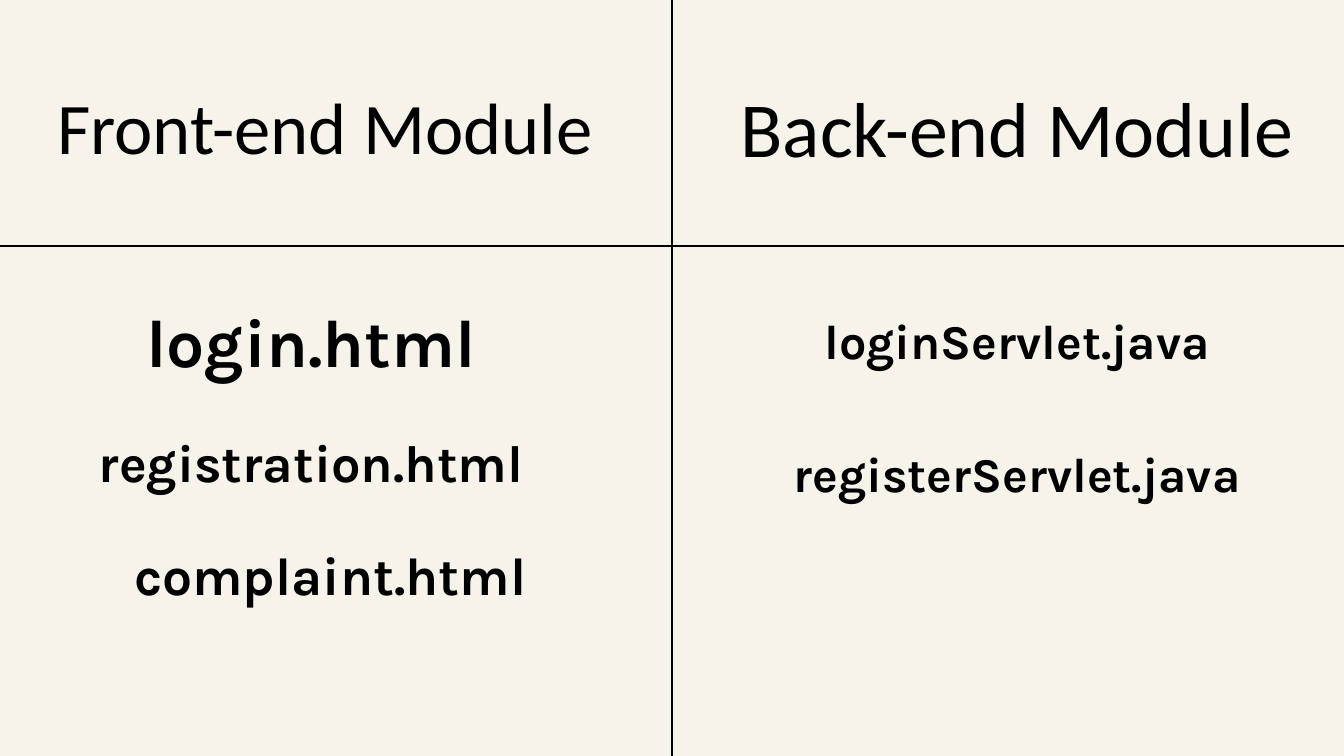
from pptx import Presentation
from pptx.dml.color import RGBColor
from pptx.enum.shapes import MSO_CONNECTOR
from pptx.enum.text import MSO_AUTO_SIZE, PP_ALIGN
from pptx.oxml.ns import qn
from pptx.util import Inches, Pt
from lxml import etree

STRAIGHT = MSO_CONNECTOR.STRAIGHT
CENTER = PP_ALIGN.CENTER
FIT_SHAPE = MSO_AUTO_SIZE.SHAPE_TO_FIT_TEXT

COLORS = {"paper": "F6F3EB", "ink": "000000"}
HEADING_FONT, FILE_FONT = "Calibri", "Karla"
WIDTH, HEIGHT = 20, 11.25
LINE_SPACING = 1.4  # line height as a multiple of the text size

deck = Presentation()
deck.slide_width, deck.slide_height = Inches(WIDTH), Inches(HEIGHT)
page = deck.slides.add_slide(deck.slide_layouts[6])
page.background.fill.solid()
page.background.fill.fore_color.rgb = RGBColor.from_string(COLORS["paper"])

# Dividers between the two columns and below the headings
column_x, heading_y = WIDTH / 2, 3.66
dividers = [
    (column_x, 0, column_x, HEIGHT),
    (0, heading_y, WIDTH, heading_y),
]
for ends in dividers:
    divider = page.shapes.add_connector(STRAIGHT, *[Inches(end) for end in ends])
    divider.line.color.rgb = RGBColor.from_string(COLORS["ink"])
    divider.line.width = Pt(3)
    etree.SubElement(divider._element.spPr, qn("a:effectLst"))

# Text, left, top, width, height, size, font, bold
labels = [
    ("Front-end Module", 0.49, 1.01, 8.69, 1.46, 77.8, HEADING_FONT, False),
    ("login.html", 2.13, 4.27, 5, 1.35, 72.3, FILE_FONT, True),
    ("registration.html", 1.12, 6.24, 7.02, 1.05, 56, FILE_FONT, True),
    ("complaint.html", 1.69, 7.91, 6.45, 1.07, 57, FILE_FONT, True),
    ("Back-end Module", 10.81, 0.95, 8.65, 1.56, 83.4, HEADING_FONT, False),
    ("loginServlet.java", 12.17, 4.48, 5.93, 0.97, 52, FILE_FONT, True),
    ("registerServlet.java", 11.45, 6.47, 7.37, 0.97, 52, FILE_FONT, True),
]
for text, left, top, width, height, size, font, bold in labels:
    box = page.shapes.add_textbox(
        Inches(left), Inches(top), Inches(width), Inches(height)
    )
    frame = box.text_frame
    frame.word_wrap = True
    frame.auto_size = FIT_SHAPE
    frame.margin_left = frame.margin_right = 0
    frame.margin_top = frame.margin_bottom = 0
    para = frame.paragraphs[0]
    para.alignment = CENTER
    para.line_spacing = Pt(round(size * LINE_SPACING, 1))
    span = para.add_run()
    span.text = text
    span.font.name = font
    span.font.size = Pt(size)
    span.font.bold = bold
    span.font.color.rgb = RGBColor.from_string(COLORS["ink"])

deck.save("out.pptx")
